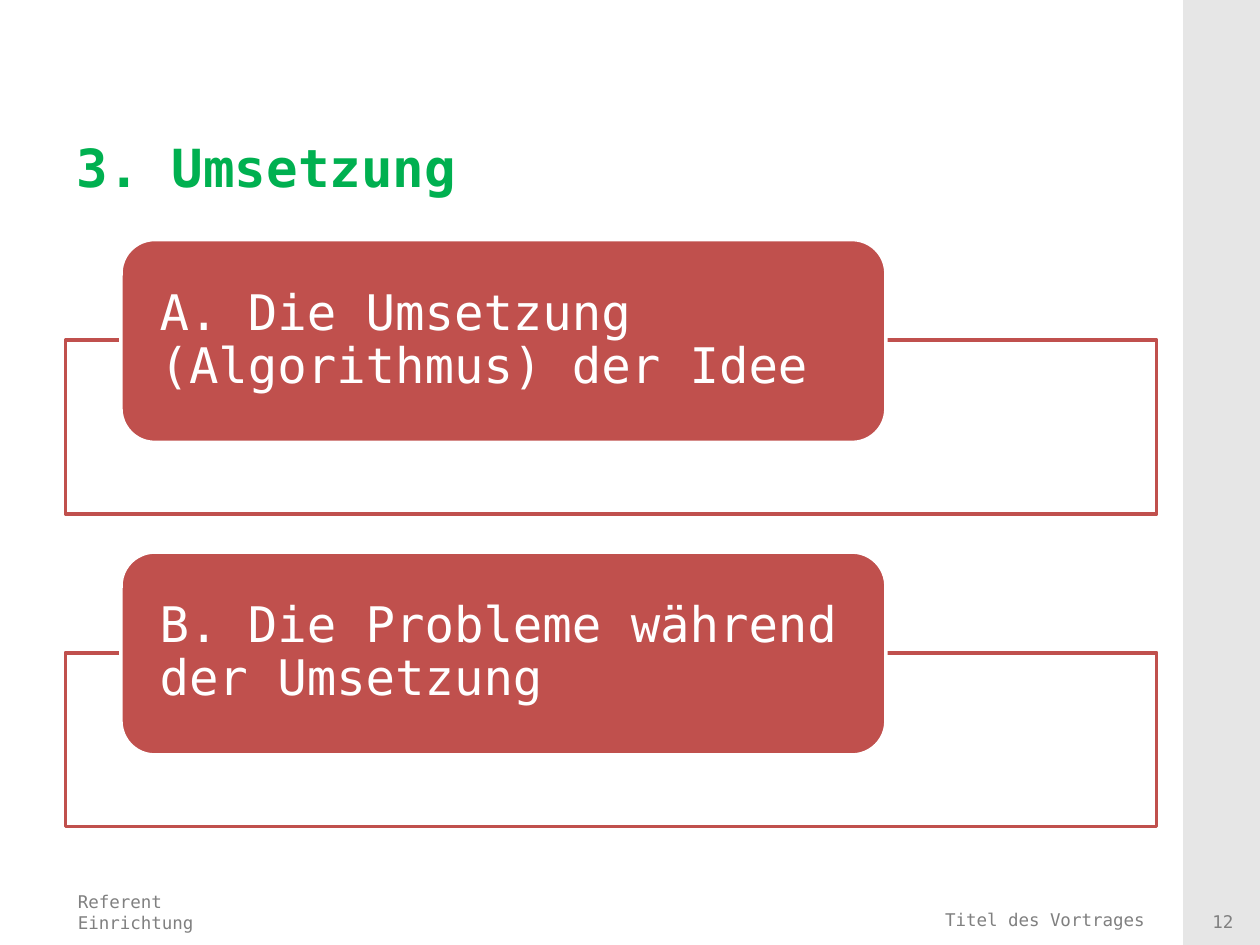
from dataclasses import dataclass

import pptx
import pptx.dml.color
import pptx.enum.shapes
import pptx.enum.text
import pptx.util

Cm = pptx.util.Cm
Pt = pptx.util.Pt
Kind = pptx.enum.shapes.MSO_SHAPE
Align = pptx.enum.text.PP_ALIGN
Anchor = pptx.enum.text.MSO_ANCHOR

FONT = "DejaVu Sans Mono"
RED = "C0504D"
WHITE = "FFFFFF"
GRAY = "808080"
TOP = 4.83
STEP = 6.3


@dataclass
class Box:
    left: float
    top: float
    width: float
    height: float

    def place(self) -> tuple:
        return Cm(self.left), Cm(self.top), Cm(self.width), Cm(self.height)


@dataclass
class Label:
    text: str
    box: Box
    size: int = 10
    hue: str = GRAY
    bold: bool = False
    align: Align = Align.LEFT


def color(code: str) -> pptx.dml.color.RGBColor:
    return pptx.dml.color.RGBColor.from_string(code)


def style(frame, size: int, hue: str, bold: bool, align: Align) -> None:
    frame.word_wrap = True
    for para in frame.paragraphs:
        para.alignment = align
        for run in para.runs:
            run.font.name = FONT
            run.font.size = Pt(size)
            run.font.bold = bold
            run.font.color.rgb = color(hue)


def write(slide, label: Label) -> None:
    frame = slide.shapes.add_textbox(*label.box.place()).text_frame
    frame.text = label.text
    style(frame, label.size, label.hue, label.bold, label.align)


def block(slide, kind: Kind, box: Box, fill: str, edge: str | None = None):
    shape = slide.shapes.add_shape(kind, *box.place())
    shape.shadow.inherit = False
    shape.fill.solid()
    shape.fill.fore_color.rgb = color(fill)
    if edge:
        shape.line.color.rgb = color(edge)
        shape.line.width = Pt(2)
    else:
        shape.line.fill.background()
    return shape


def topic(slide, text: str, top: float) -> None:
    block(slide, Kind.RECTANGLE, Box(1.32, top + 2.03, 22, 3.5), WHITE, RED)
    card = block(slide, Kind.ROUNDED_RECTANGLE, Box(2.44, top, 15.42, 4.09), RED, WHITE)
    frame = card.text_frame
    frame.text = text
    frame.vertical_anchor = Anchor.MIDDLE
    frame.margin_left = frame.margin_right = Cm(0.58)
    frame.margin_top = frame.margin_bottom = 0
    frame.paragraphs[0].line_spacing = 0.9
    style(frame, 28, WHITE, False, Align.LEFT)


TOPICS = [
    "A. Die Umsetzung (Algorithmus) der Idee",
    "B. Die Probleme während der Umsetzung",
]
LABELS = [
    Label("3. Umsetzung", Box(1.3, 2.6, 21.95, 1.4), 30, "00B050", True),
    Label("Referent\nEinrichtung", Box(1.32, 17.83, 10.8, 1.09)),
    Label("Titel des Vortrages", Box(12.32, 18.2, 11, 0.68), align=Align.RIGHT),
    Label("12", Box(24, 18.24, 1.3, 0.68), align=Align.CENTER),
]


def main() -> None:
    deck = pptx.Presentation()
    deck.slide_width = Cm(25.4)
    deck.slide_height = Cm(19.05)
    slide = deck.slides.add_slide(deck.slide_layouts[6])
    block(slide, Kind.RECTANGLE, Box(23.85, 0, 1.55, 19.05), "E6E6E6")
    for row, text in enumerate(TOPICS):
        topic(slide, text, TOP + row * STEP)
    for label in LABELS:
        write(slide, label)
    deck.save("out.pptx")


if __name__ == "__main__":
    main()
